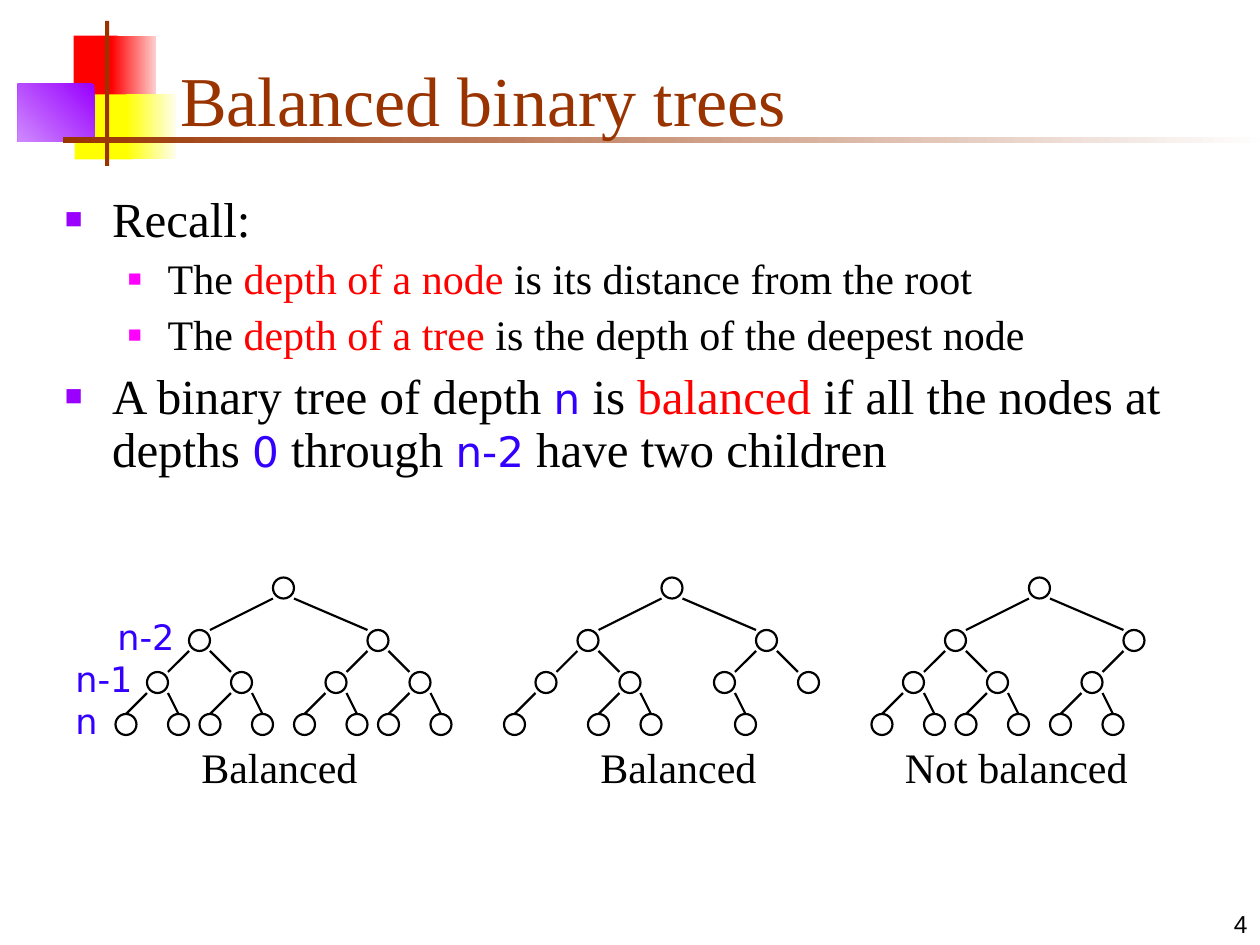
from dataclasses import dataclass
from lxml.etree import SubElement
from pptx import Presentation
from pptx.dml.color import RGBColor as Rgb
from pptx.enum.shapes import MSO_CONNECTOR as Conn, MSO_SHAPE as Kind
from pptx.enum.text import MSO_ANCHOR as Anchor, PP_ALIGN as Align
from pptx.oxml.ns import qn
from pptx.util import Pt

PX = 7620  # EMU; 120 px to the inch


@dataclass(frozen=True)
class Theme:
    serif: str = "Times New Roman"
    sans: str = "DejaVu Sans"
    plain: str = "Arial"
    ink: str = "000000"
    brown: str = "993300"
    red: str = "FF0000"
    blue: str = "3300FF"
    yellow: str = "FFFF00"
    violet: str = "9900FF"
    pink: str = "FF00FF"
    title: int = 40
    head: int = 28
    text: int = 24
    label: int = 20
    page: int = 14
    line: float = 1.25


T = Theme()
NODE = 20
# Left edges of the nodes, level by level, within a tree's box
NODES = [
    (150,),
    (70, 240),
    (30, 110, 200, 280),
    (0, 50, 80, 130, 170, 220, 250, 300),
]
TOPS = (0, 50, 90, 130)


def emu(*vals):
    return [v * PX for v in vals]


def add_run(para, text, size, font=T.serif, color=T.ink):
    run = para.add_run()
    run.text = text
    run.font.size = Pt(size)
    run.font.name = font
    run.font.color.rgb = Rgb.from_string(color)


def add_box(slide, box, anchor=Anchor.TOP):
    frame = slide.shapes.add_textbox(*emu(*box)).text_frame
    frame.word_wrap = True
    frame.vertical_anchor = anchor
    return frame


def add_label(slide, box, text, size, font, color, before=0,
              anchor=Anchor.TOP, align=Align.LEFT):
    para = add_box(slide, box, anchor).paragraphs[0]
    para.alignment = align
    para.space_before = Pt(before)
    add_run(para, text, size, font, color)


def add_rect(slide, box, first, last=None, angle=180):
    """Fill with one colour, or with a gradient from first to last."""
    rect = slide.shapes.add_shape(Kind.RECTANGLE, *emu(*box))
    rect.shadow.inherit = False
    rect.line.fill.background()
    if last is None:
        rect.fill.solid()
        rect.fill.fore_color.rgb = Rgb.from_string(first)
        return
    rect.fill.gradient()
    rect.fill.gradient_angle = angle
    for stop, color in zip(rect.fill.gradient_stops, (first, last)):
        stop.color.rgb = Rgb.from_string(color)


def add_decor(slide, x, y):
    for dx, dy, w, h, *fill in (
        (53, 14, 42, 62, T.red),
        (89, 14, 43, 62, "FED0D0", T.red),
        (54, 70, 55, 62, T.yellow),
        (103, 70, 48, 62, "FEFEEF", T.yellow),
        (0, 60, 73, 55, T.violet, "CF8AFE", 225),
        (83, 0, 4, 138, T.brown),
        (43, 110, 1140, 6, "FEFEFE", T.brown),
    ):
        add_rect(slide, (x + dx, y + dy, w, h), *fill)


def set_bullet(para, left, hang, color, pct):
    props = para._p.get_or_add_pPr()
    props.set("marL", str(left * PX))
    props.set("indent", str(-hang * PX))
    SubElement(SubElement(props, qn("a:buClr")), qn("a:srgbClr")).set("val", color)
    SubElement(props, qn("a:buSzPct")).set("val", str(pct * 1000))
    SubElement(props, qn("a:buFont")).set("typeface", T.serif)
    SubElement(props, qn("a:buChar")).set("char", "■")


def add_body(slide, box):
    levels = (
        (T.head, 7, (45, 45, T.violet, 60)),
        (T.text, 6, (98, 38, T.pink, 55)),
    )
    red = {"color": T.red}
    code = {"size": T.text, "font": T.sans, "color": T.blue}
    items = (
        (0, [("Recall:", {})]),
        (1, [("The ", {}), ("depth of a node", red),
             (" is its distance from the root", {})]),
        (1, [("The ", {}), ("depth of a tree", red),
             (" is the depth of the deepest node", {})]),
        (0, [("A binary tree of depth ", {}), ("n", code), (" is ", {}),
             ("balanced", red), (" if all the nodes at depths ", {}),
             ("0", code), (" through ", {}), ("n-2", code),
             (" have two children", {})]),
    )
    frame = add_box(slide, box)
    for i, (level, runs) in enumerate(items):
        size, before, bullet = levels[level]
        para = frame.add_paragraph() if i else frame.paragraphs[0]
        para.level = level
        para.line_spacing = 0.9
        para.space_before = Pt(before)
        set_bullet(para, *bullet)
        for text, style in runs:
            add_run(para, text, **{"size": size, **style})


def draw_line(shape):
    shape.line.color.rgb = Rgb.from_string(T.ink)
    shape.line.width = Pt(T.line)


def add_node(slide, x, y):
    node = slide.shapes.add_shape(Kind.OVAL, *emu(x, y, NODE, NODE))
    node.shadow.inherit = False
    node.fill.background()
    draw_line(node)


def add_edge(slide, *ends):
    edge = slide.shapes.add_connector(Conn.STRAIGHT, *emu(*ends))
    SubElement(edge._element.spPr, qn("a:effectLst"))
    draw_line(edge)


def add_tree(slide, x, y, gaps, name, shift, width):
    """Draw a tree without the nodes in gaps, counted from 1 by level."""
    for depth, (row, top) in enumerate(zip(NODES, TOPS)):
        for i, left in enumerate(row):
            if 2 ** depth + i in gaps:
                continue
            add_node(slide, x + left, y + top)
            if depth == 0:
                continue
            side = i % 2
            start = NODES[depth - 1][i // 2] + side * NODE
            leaf = depth == len(NODES) - 1
            end = left + (NODE // 2 if leaf else (1 - side) * NODE)
            add_edge(slide, x + start, y + TOPS[depth - 1] + NODE,
                     x + end, y + top)
    add_label(slide, (x + shift, y + 150, width, 60), name,
              T.text, T.serif, T.ink, before=15)


def add_depths(slide, x, y):
    for i, (text, dx) in enumerate((("n-2", 40), ("n-1", 0), ("n", 0))):
        add_label(slide, (x + dx, y + 40 * i, 90, 53), text,
                  T.label, T.sans, T.blue, before=12.5)


def main():
    deck = Presentation()
    deck.slide_width, deck.slide_height = emu(1200, 900)
    slide = deck.slides.add_slide(deck.slide_layouts[6])
    add_decor(slide, 17, 20)
    add_label(slide, (160, 30, 1022, 110), "Balanced binary trees",
              T.title, T.serif, T.brown, anchor=Anchor.BOTTOM)
    add_body(slide, (50, 180, 1126, 302))
    for x, *tree in (
        (110, (), "Balanced", 70, 180),
        (480, (9, 12, 14, 15), "Balanced", 80, 190),
        (830, (7, 14, 15), "Not balanced", 20, 250),
    ):
        add_tree(slide, x, 550, *tree)
    add_depths(slide, 60, 580)
    add_label(slide, (950, 840, 250, 60), "4", T.page, T.plain, T.ink,
              anchor=Anchor.BOTTOM, align=Align.RIGHT)
    deck.save("out.pptx")


if __name__ == "__main__":
    main()
